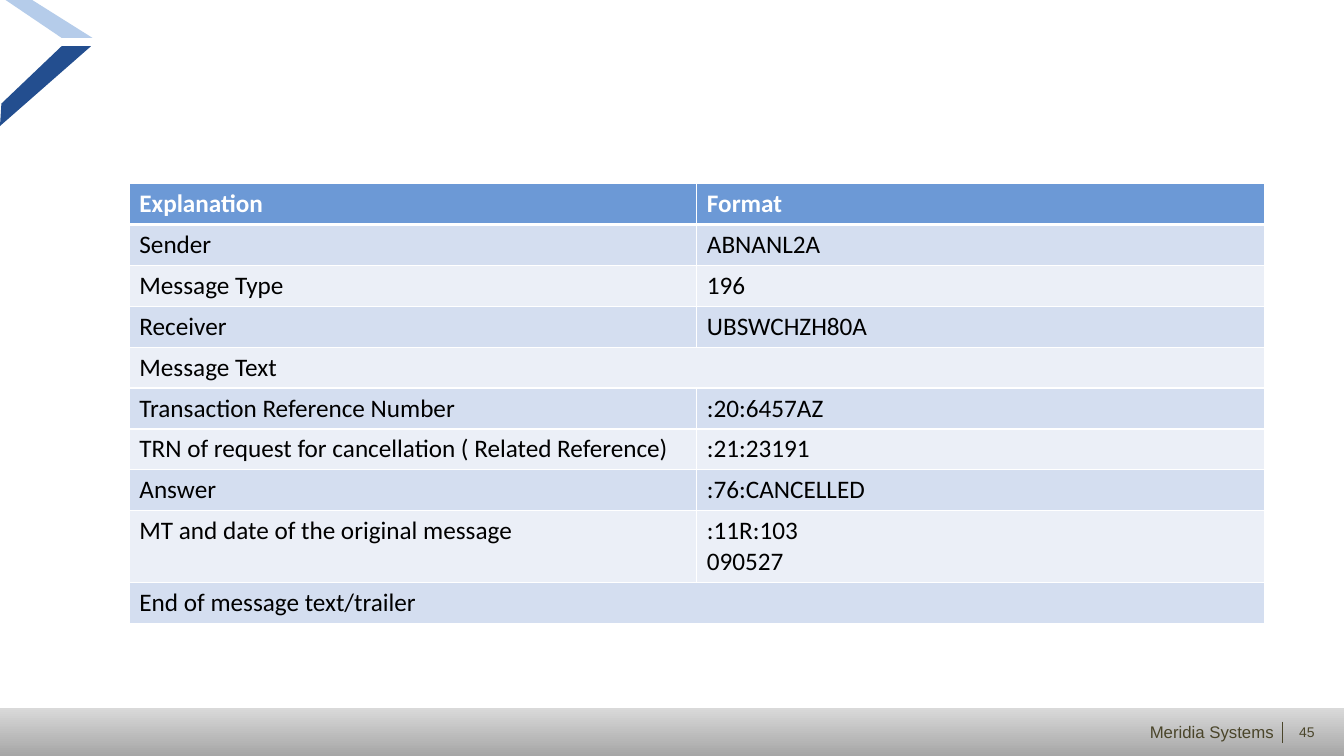
from dataclasses import dataclass

from lxml import etree
from pptx import Presentation
from pptx.dml.color import RGBColor as RGB
from pptx.enum.shapes import MSO_CONNECTOR as Connector, MSO_SHAPE as Shape
from pptx.enum.text import MSO_ANCHOR as Anchor, PP_ALIGN as Align
from pptx.oxml import parse_xml
from pptx.oxml.ns import nsdecls, qn
from pptx.util import Pt


@dataclass(frozen=True)
class Theme:
    header: RGB = RGB.from_string("6C99D6")
    band_dark: RGB = RGB.from_string("D4DEF0")
    band_light: RGB = RGB.from_string("EBEFF7")
    white: RGB = RGB.from_string("FFFFFF")
    black: RGB = RGB.from_string("000000")
    footer_top: RGB = RGB.from_string("D9D9D9")
    footer_bottom: RGB = RGB.from_string("A6A6A6")
    footer_text: RGB = RGB.from_string("4A452A")
    chevron_light: RGB = RGB.from_string("B5CCEA")
    chevron_dark: RGB = RGB.from_string("234E8F")
    table_font: str = "Calibri"
    footer_font: str = "Arial"
    table_size: int = 18
    company_size: int = 12
    number_size: int = 10


THEME = Theme()
SLIDE_WIDTH, SLIDE_HEIGHT = 960, 540
LINE_HEIGHT, CELL_PADDING = 22, 7.2

# A row with a single entry spans both columns
MESSAGE_ROWS = [
    ("Explanation", "Format"),
    ("Sender", "ABNANL2A"),
    ("Message Type", "196"),
    ("Receiver", "UBSWCHZH80A"),
    ("Message Text",),
    ("Transaction Reference Number", ":20:6457AZ"),
    ("TRN of request for cancellation ( Related Reference)", ":21:23191"),
    ("Answer", ":76:CANCELLED"),
    ("MT and date of the original message", ":11R:103\n090527"),
    ("End of message text/trailer",),
]


def set_font(paragraph, name, size, color, bold=False):
    font = paragraph.font
    font.name, font.size, font.bold = name, Pt(size), bold
    font.color.rgb = color


def add_chevron(slide, left, top):
    """Corner ornament made of two slanted bars."""
    bars = [
        (THEME.chevron_light, [(23, 0), (65.5, 26.6), (43.9, 27.4), (3.6, 0)]),
        (THEME.chevron_dark, [(43.9, 33.1), (64.8, 33.1), (0, 90), (0.7, 74.2)]),
    ]
    for color, corners in bars:
        points = [(left + x, top + y) for x, y in corners]
        builder = slide.shapes.build_freeform(*points[0], scale=Pt(1))
        builder.add_line_segments(points[1:], close=True)
        bar = builder.convert_to_shape()
        bar.shadow.inherit = False
        bar.fill.solid()
        bar.fill.fore_color.rgb = color
        bar.line.fill.background()


def add_label(slide, text, left, top, width, height, align, size):
    label = slide.shapes.add_textbox(Pt(left), Pt(top), Pt(width), Pt(height))
    frame = label.text_frame
    frame.margin_left = frame.margin_top = frame.margin_right = frame.margin_bottom = 0
    frame.vertical_anchor = Anchor.MIDDLE
    frame.word_wrap = False
    frame.text = text
    paragraph = frame.paragraphs[0]
    paragraph.alignment = align
    set_font(paragraph, THEME.footer_font, size, THEME.footer_text)


def add_footer(slide, left, top, width, height):
    # Gradient bar
    bar = slide.shapes.add_shape(Shape.RECTANGLE, Pt(left), Pt(top), Pt(width), Pt(height))
    bar.shadow.inherit = False
    bar.line.fill.background()
    bar.fill.gradient()
    bar.fill.gradient_angle = 270
    for stop, color in zip(bar.fill.gradient_stops, (THEME.footer_top, THEME.footer_bottom)):
        stop.color.rgb = color

    # Company, divider and slide number, set from the right end
    right = left + width
    add_label(slide, "Meridia Systems", right - 142, top + 9.5, 92, 14.4,
              Align.RIGHT, THEME.company_size)
    add_label(slide, "45", right - 32.6, top + 10.8, 12.2, 12.2,
              Align.CENTER, THEME.number_size)
    divider_x = Pt(right - 44)
    divider = slide.shapes.add_connector(
        Connector.STRAIGHT, divider_x, Pt(top + 9.5), divider_x, Pt(top + 24.6))
    divider.line.color.rgb = THEME.footer_text
    divider.line.width = Pt(0.75)
    etree.SubElement(divider._element.spPr, qn("a:effectLst"))


def set_borders(cell, top, bottom):
    properties = cell._tc.get_or_add_tcPr()
    for side, width in (("L", 1), ("R", 1), ("T", top), ("B", bottom)):
        properties.append(parse_xml(
            f'<a:ln{side} {nsdecls("a")} w="{Pt(width)}"><a:solidFill>'
            f'<a:srgbClr val="{THEME.white}"/></a:solidFill></a:ln{side}>'))


def add_message_table(slide, left, top, width):
    heights = [max(text.count("\n") + 1 for text in row) * LINE_HEIGHT + CELL_PADDING
               for row in MESSAGE_ROWS]
    table = slide.shapes.add_table(len(MESSAGE_ROWS), 2, Pt(left), Pt(top),
                                   Pt(width), Pt(sum(heights))).table
    for column in table.columns:
        column.width = Pt(width / 2)

    for index, (texts, height) in enumerate(zip(MESSAGE_ROWS, heights)):
        table.rows[index].height = Pt(height)
        is_header = index == 0
        band = THEME.band_dark if index % 2 else THEME.band_light
        for column in range(2):
            cell = table.cell(index, column)
            set_borders(cell, 3 if index == 1 else 1, 3 if is_header else 1)
            cell.fill.solid()
            cell.fill.fore_color.rgb = THEME.header if is_header else band
        if len(texts) == 1:
            table.cell(index, 0).merge(table.cell(index, 1))
        for column, text in enumerate(texts):
            frame = table.cell(index, column).text_frame
            frame.text = text
            for paragraph in frame.paragraphs:
                set_font(paragraph, THEME.table_font, THEME.table_size,
                         THEME.white if is_header else THEME.black, is_header)


def main():
    presentation = Presentation()
    presentation.slide_width, presentation.slide_height = Pt(SLIDE_WIDTH), Pt(SLIDE_HEIGHT)
    slide = presentation.slides.add_slide(presentation.slide_layouts[6])
    add_footer(slide, 0, 506, SLIDE_WIDTH, 34)
    add_chevron(slide, 0, 0)
    add_message_table(slide, 92.4, 131.2, 810.8)
    presentation.save("out.pptx")


if __name__ == "__main__":
    main()
